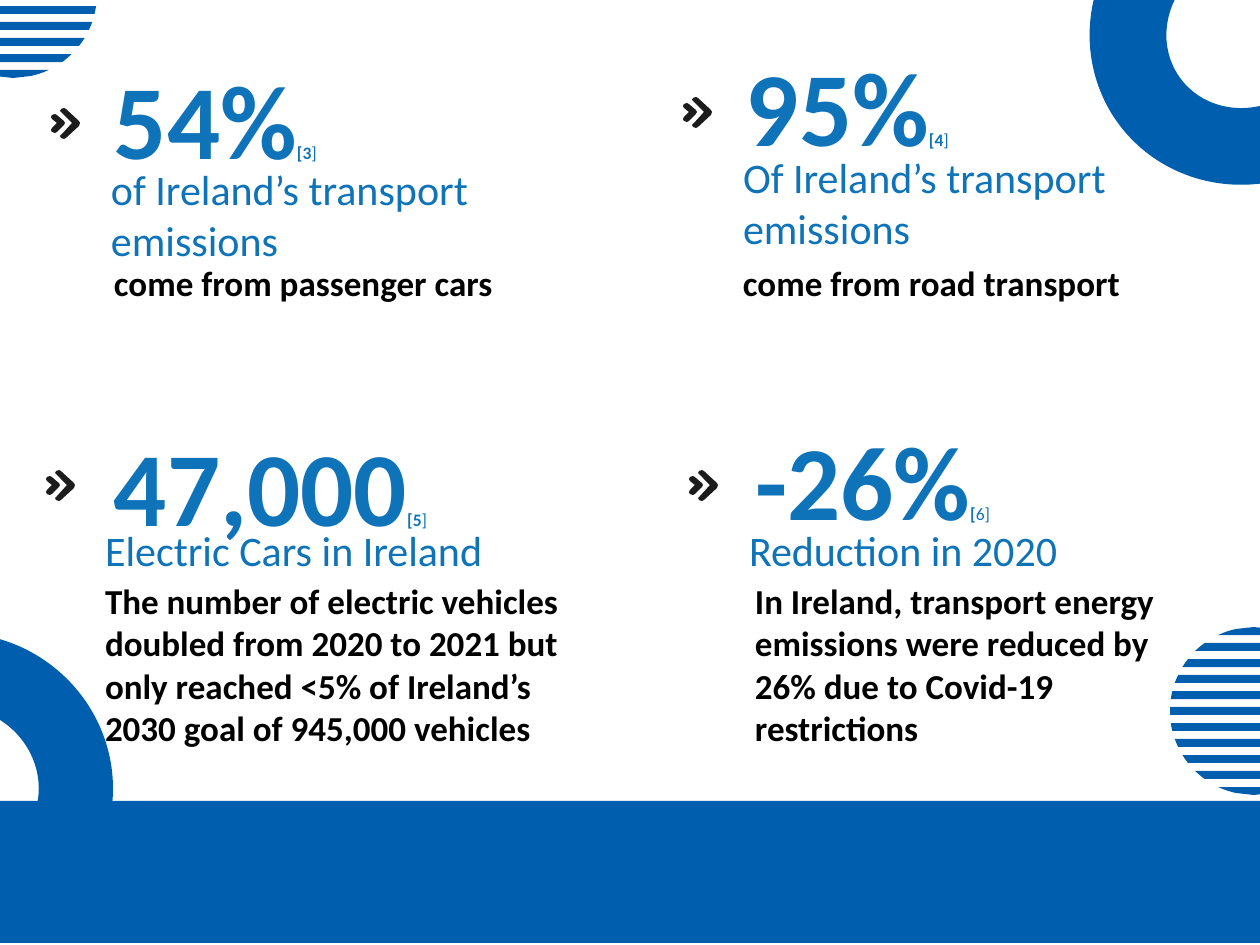
from math import sqrt

from pptx import Presentation
from pptx.dml.color import RGBColor
from pptx.enum.shapes import MSO_SHAPE
from pptx.enum.text import MSO_ANCHOR
from pptx.util import Pt

EMU_PER_PX = 914400 / 126
BAND_BLUE = RGBColor(0x00, 0x5E, 0xAE)
TEXT_BLUE = RGBColor(0x0E, 0x73, 0xB9)
CHEVRON_GREY = RGBColor(0x1C, 0x1C, 0x1C)
BLACK = RGBColor(0x00, 0x00, 0x00)

# Boxes are left, top, width, height in px. A statistic is the figure,
# then the bold and the plain part of its reference mark.
FACTS = [
    {"chevron": (698, 470),
     "stat": (("-26%", "[", "6]"), (742, 404, 295, 151)),
     "caption": ("Reduction in 2020", (736, 512, 525, 174)),
     "detail": ("In Ireland, transport energy emissions were reduced by "
                "26% due to Covid-19 restrictions", (742, 567, 454, 200))},
    {"chevron": (55, 470),
     "stat": (("47,000", "[5", "]"), (101, 410, 340, 151)),
     "caption": ("Electric Cars in Ireland", (92, 512, 525, 174)),
     "detail": ("The number of electric vehicles doubled from 2020 to 2021 but "
                "only reached <5% of Ireland’s 2030 goal of 945,000 vehicles",
                (92, 567, 483, 200))},
    {"chevron": (692, 97),
     "stat": (("95%", "[4", "]"), (733, 30, 295, 151)),
     "caption": ("Of Ireland’s transport emissions", (730, 139, 525, 174)),
     "detail": ("come from road transport", (730, 249, 454, 200))},
    {"chevron": (60, 108),
     "stat": (("54%", "[3", "]"), (101, 43, 295, 151)),
     "caption": ("of Ireland’s transport emissions", (98, 151, 519, 174)),
     "detail": ("come from passenger cars", (101, 249, 454, 101))},
]

# Centre x, centre y and the stripe rows counted from the centre
STRIPED_DISCS = [(1254, 711, range(-5, 6)), (13, -6, range(1, 6))]
DISC_RADIUS, STRIPE_PITCH, STRIPE_HALF = 84, 16, 4

# Box and rotation
RINGS = [((-192, 635, 307, 297), 39.7), ((1094, -131, 307, 320), 234.3)]
BAND = (0, 801, 1260, 142)

LARGE_CHEVRON = [(4, 0), (1, 1), (0, 3), (2, 5), (12, 15), (2, 26), (0, 28),
                 (1, 30), (4, 31), (6, 30), (19, 18), (20, 15), (19, 13), (6, 1)]
SMALL_CHEVRON = [(4, 0), (1, 1), (0, 3), (1, 5), (6, 9), (1, 14), (0, 16),
                 (1, 18), (4, 19), (6, 18), (13, 11), (14, 9), (13, 7), (6, 1)]
SMALL_OFFSET = (-9, 6)


def px(value):
    return round(value * EMU_PER_PX)


def paint(shape, color):
    shape.shadow.inherit = False
    shape.fill.solid()
    shape.fill.fore_color.rgb = color
    shape.line.fill.background()


def add_preset(slide, kind, box, rotation=0):
    shape = slide.shapes.add_shape(kind, *map(px, box))
    shape.rotation = rotation
    paint(shape, BAND_BLUE)


def add_outline(slide, points, color, left=0, top=0):
    corners = [(px(left + x), px(top + y)) for x, y in points]
    builder = slide.shapes.build_freeform(*corners[0], scale=1.0)
    builder.add_line_segments(corners[1:], close=True)
    paint(builder.convert_to_shape(), color)


def add_striped_disc(slide, center_x, center_y, rows):
    for row in rows:
        levels = [row * STRIPE_PITCH + step * STRIPE_HALF / 2
                  for step in range(-2, 3)]
        right = [(sqrt(DISC_RADIUS ** 2 - y ** 2), y) for y in levels]
        left = [(-x, y) for x, y in reversed(right)]
        add_outline(slide, right + left, BAND_BLUE, center_x, center_y)


def add_chevrons(slide, left, top):
    add_outline(slide, LARGE_CHEVRON, CHEVRON_GREY, left, top)
    add_outline(slide, SMALL_CHEVRON, CHEVRON_GREY,
                left + SMALL_OFFSET[0], top + SMALL_OFFSET[1])


def add_text(slide, box, runs, color, anchor=MSO_ANCHOR.TOP):
    """Add one paragraph; each run is text, size in points and bold."""
    frame = slide.shapes.add_textbox(*map(px, box)).text_frame
    frame.word_wrap = True
    frame.vertical_anchor = anchor
    frame.margin_left = frame.margin_right = px(13)
    frame.margin_top = frame.margin_bottom = px(13)
    for text, size, bold in runs:
        run = frame.paragraphs[0].add_run()
        run.text = text
        run.font.name = "Calibri"
        run.font.size = Pt(size)
        run.font.bold = bold
        run.font.color.rgb = color


def add_fact(slide, fact):
    caption, caption_box = fact["caption"]
    detail, detail_box = fact["detail"]
    (figure, bold_mark, plain_mark), stat_box = fact["stat"]
    add_text(slide, caption_box, [(caption, 24, False)], TEXT_BLUE)
    add_text(slide, detail_box, [(detail, 20, True)], BLACK)
    add_text(slide, stat_box,
             [(figure, 60, True), (bold_mark, 10, True), (plain_mark, 10, False)],
             TEXT_BLUE, anchor=MSO_ANCHOR.BOTTOM)
    add_chevrons(slide, *fact["chevron"])


def main():
    presentation = Presentation()
    presentation.slide_width, presentation.slide_height = px(1260), px(945)
    slide = presentation.slides.add_slide(presentation.slide_layouts[6])
    add_preset(slide, MSO_SHAPE.RECTANGLE, BAND)
    for disc in STRIPED_DISCS:
        add_striped_disc(slide, *disc)
    for fact in FACTS:
        add_fact(slide, fact)
    for box, rotation in RINGS:
        add_preset(slide, MSO_SHAPE.BLOCK_ARC, box, rotation)
    presentation.save("out.pptx")


if __name__ == "__main__":
    main()
